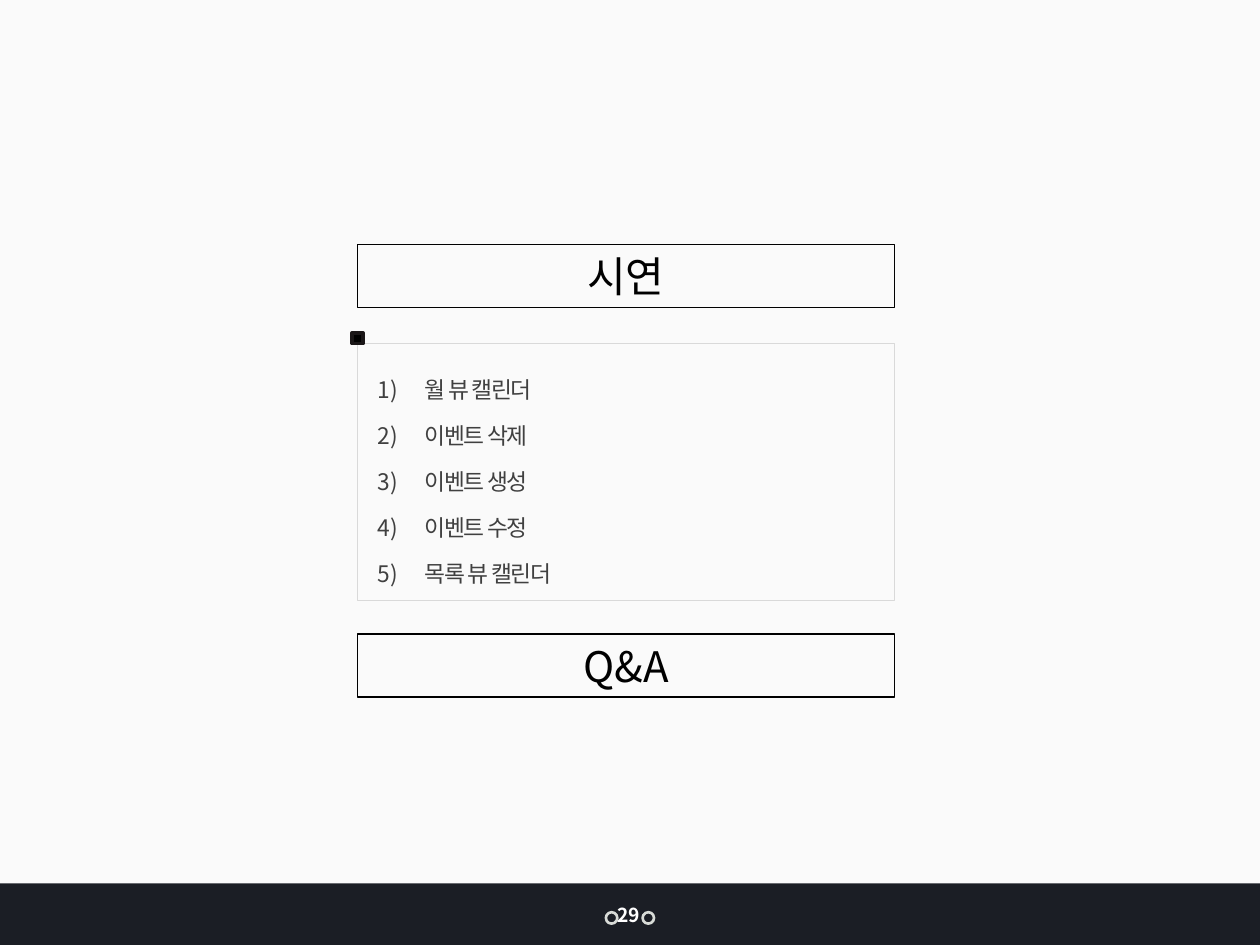
import pptx
import pptx.dml.color
import pptx.enum.shapes
import pptx.enum.text
import pptx.oxml.ns
import pptx.util
from lxml import etree

Cm, Pt = pptx.util.Cm, pptx.util.Pt
Kind = pptx.enum.shapes.MSO_SHAPE
Align = pptx.enum.text.PP_ALIGN
Anchor = pptx.enum.text.MSO_ANCHOR
Fit = pptx.enum.text.MSO_AUTO_SIZE

# Content
HEAD = "시연"
STEPS = ["월 뷰 캘린더", "이벤트 삭제", "이벤트 생성", "이벤트 수정", "목록 뷰 캘린더"]
CLOSE = "Q&A"
PAGE = "29"

# Theme
THEME = {
    "font": "Noto Sans CJK KR",
    "back": "FAFAFA", "bar": "1B1E25", "ring": "D8DBD7",
    "ink": "000000", "text": "404040", "rule": "D9D9D9",
    "edge": "1A1617", "light": "FFFFFF",
    "big": 24, "list": 13, "small": 11,
}

# Layout in centimetres
WIDE, HIGH = 25.4, 19.05
LEFT, SPAN = 7.21, 10.82
BAR = 1.24
BOX = 1.27
TOPS = {"head": 4.93, "list": 6.93, "close": 12.78}
DEEP = 5.18
MARK = 0.22
RING, STEP = 0.23, 0.74
HANG = 0.95


def tint(name):
    return pptx.dml.color.RGBColor.from_string(THEME[name])


def place(shape, *box):
    for name, size in zip(("left", "top", "width", "height"), box):
        setattr(shape, name, Cm(size))


def paint(shape, fill=None, line=None, width=0.75):
    if fill:
        shape.fill.solid()
        shape.fill.fore_color.rgb = tint(fill)
    else:
        shape.fill.background()
    if line:
        shape.line.color.rgb = tint(line)
        shape.line.width = Pt(width)
    else:
        shape.line.fill.background()


def draw(home, kind, box, **look):
    shape = home.add_shape(kind, *map(Cm, box))
    shape.shadow.inherit = False
    paint(shape, **look)
    return shape


def style(run, size, color, bold=False):
    form = {"name": THEME["font"], "size": Pt(THEME[size]), "bold": bold}
    for name, value in form.items():
        setattr(run.font, name, value)
    run.font.color.rgb = tint(color)
    east = etree.SubElement(run.font._element, pptx.oxml.ns.qn("a:ea"))
    east.set("typeface", THEME["font"])


def setup(frame, **form):
    for name, value in form.items():
        setattr(frame, name, value)


def label(shape, text, top):
    place(shape, LEFT, top, SPAN, BOX)
    paint(shape, line="ink")
    frame = shape.text_frame
    setup(frame, word_wrap=True, auto_size=Fit.NONE, vertical_anchor=Anchor.MIDDLE)
    para = frame.paragraphs[0]
    para.alignment = Align.CENTER
    run = para.add_run()
    run.text = text
    style(run, "big", "ink")


def number(para):
    props = para._p.get_or_add_pPr()
    props.set("marL", str(Cm(HANG)))
    props.set("indent", str(-Cm(HANG)))
    auto = etree.SubElement(props, pptx.oxml.ns.qn("a:buAutoNum"))
    auto.set("type", "arabicParenR")


def steps(shape):
    place(shape, LEFT, TOPS["list"], SPAN, DEEP)
    paint(shape, line="rule", width=0.5)
    frame = shape.text_frame
    # The deeper top inset stands in for space before the first item
    setup(frame, word_wrap=True, auto_size=Fit.NONE, vertical_anchor=Anchor.MIDDLE,
          margin_left=Cm(0.4), margin_right=Cm(0.4),
          margin_top=Cm(0.39), margin_bottom=Cm(0.13))
    for spot, text in enumerate(STEPS):
        para = frame.add_paragraph() if spot else frame.paragraphs[0]
        number(para)
        setup(para, alignment=Align.LEFT, line_spacing=1.2,
              space_before=Pt(7.5 if spot else 0))
        run = para.add_run()
        run.text = text
        style(run, "list", "text")
        run.font._element.set("spc", "-70")


def footer(shapes):
    draw(shapes, Kind.RECTANGLE, (0, HIGH - BAR, WIDE, BAR), fill="bar")
    rings = shapes.add_group_shape().shapes
    for side in (-0.5, 0.5):
        left = WIDE / 2 + side * STEP - RING / 2
        draw(rings, Kind.OVAL, (left, 18.39, RING, RING),
             fill="bar", line="ring", width=1.5)
    frame = shapes.add_textbox(Cm(12.19), Cm(18.08), Cm(1), Cm(0.74)).text_frame
    setup(frame, word_wrap=False, auto_size=Fit.NONE)
    run = frame.paragraphs[0].add_run()
    run.text = PAGE
    style(run, "small", "light", True)


def main():
    deck = pptx.Presentation()
    setup(deck, slide_width=Cm(WIDE), slide_height=Cm(HIGH))
    slide = deck.slides.add_slide(deck.slide_layouts[1])
    slide.background.fill.solid()
    slide.background.fill.fore_color.rgb = tint("back")
    shapes = slide.shapes

    # Headings and list
    label(shapes.title, HEAD, TOPS["head"])
    steps(slide.placeholders[1])
    label(shapes.add_textbox(0, 0, 0, 0), CLOSE, TOPS["close"])

    # Corner mark
    draw(shapes, Kind.RECTANGLE, (LEFT - MARK / 2, 6.71, MARK, MARK),
         fill="ink", line="edge", width=2)

    footer(shapes)
    deck.save("out.pptx")


if __name__ == "__main__":
    main()
